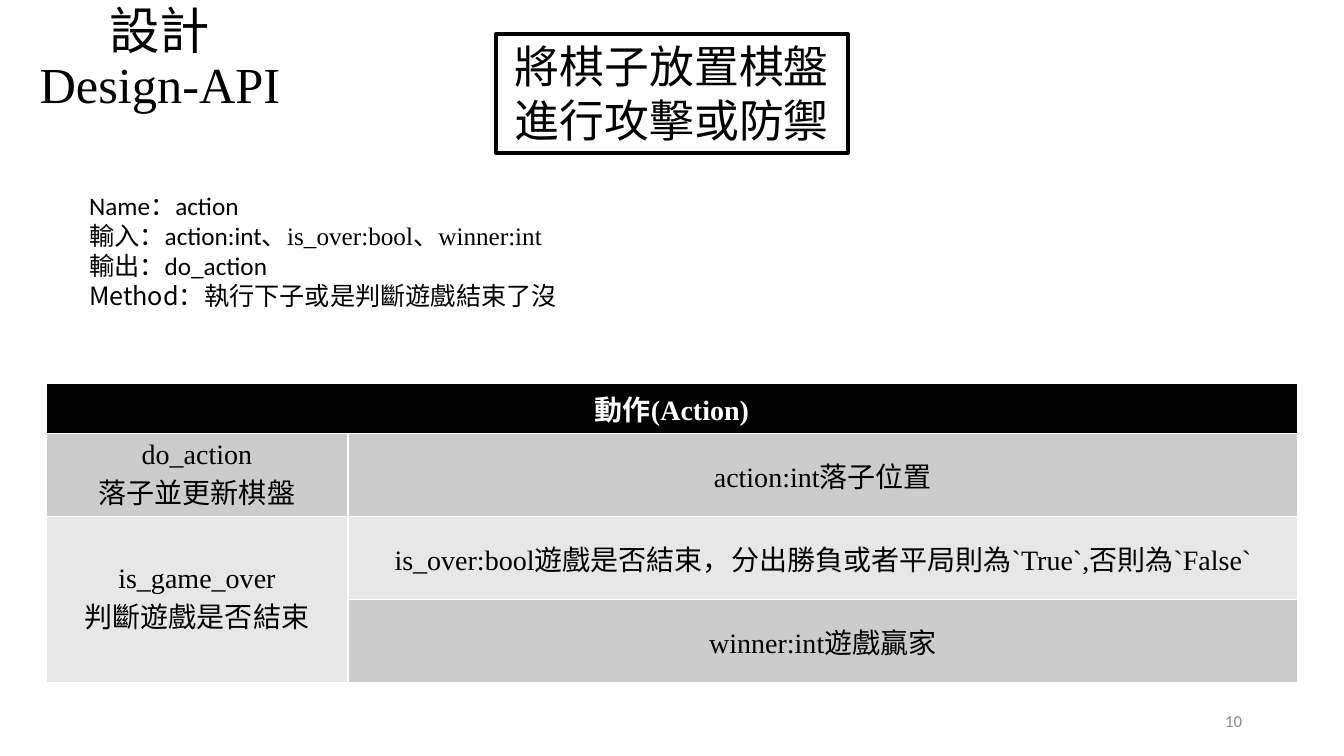
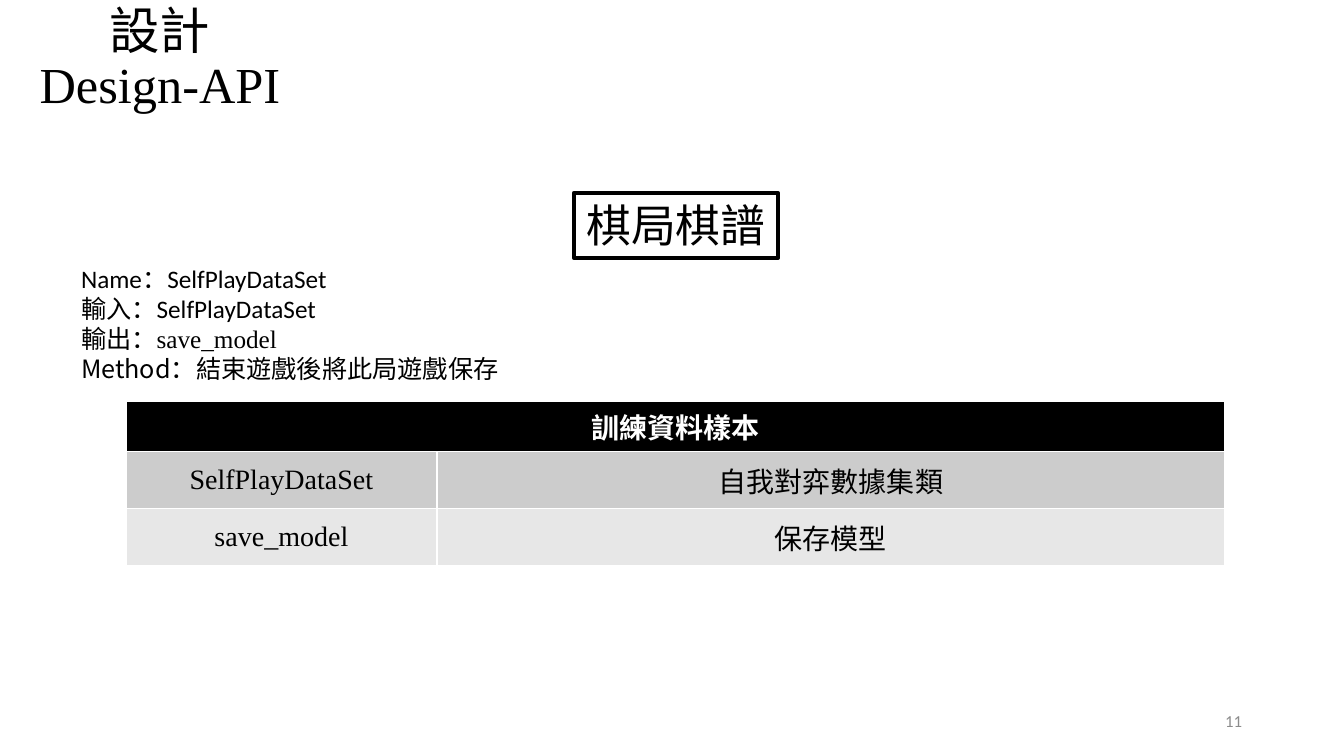
from dataclasses import dataclass

from lxml import etree
from pptx import Presentation
from pptx.dml.color import RGBColor
from pptx.enum.shapes import MSO_SHAPE
from pptx.enum.text import MSO_ANCHOR, MSO_AUTO_SIZE, PP_ALIGN
from pptx.oxml.ns import qn
from pptx.util import Pt

RECT = MSO_SHAPE.RECTANGLE
MIDDLE, TOP = MSO_ANCHOR.MIDDLE, MSO_ANCHOR.TOP
LEFT, CENTER, RIGHT = PP_ALIGN.LEFT, PP_ALIGN.CENTER, PP_ALIGN.RIGHT
NO_FIT = MSO_AUTO_SIZE.NONE
EMU_PER_PX = 914400 / 100.8
SLIDE_W, SLIDE_H = 1344, 756


@dataclass(frozen=True)
class Theme:
    ink: RGBColor = RGBColor(0, 0, 0)
    paper: RGBColor = RGBColor(255, 255, 255)
    muted: RGBColor = RGBColor(0x8C, 0x8C, 0x8C)
    bands: tuple = (RGBColor(0xCC, 0xCC, 0xCC), RGBColor(0xE7, 0xE7, 0xE7))
    serif: str = "Times New Roman"
    sans: str = "Calibri"
    cjk: str = "Noto Sans CJK SC"
    title: int = 36
    caption: int = 32
    cell: int = 20
    body: int = 18
    number: int = 12


T = Theme()


def px(n):
    return round(n * EMU_PER_PX)


def place(sp, box):
    sp.left, sp.top, sp.width, sp.height = map(px, box)


def style(p, size, font, color=T.ink, bold=False, align=CENTER):
    p.alignment = align
    for r in p.runs:
        r.font.size, r.font.name, r.font.bold = Pt(size), font, bold
        r.font.color.rgb = color


def add_title(slide, box, text):
    sp = slide.shapes.title
    place(sp, box)
    tf = sp.text_frame
    tf.text = text
    tf.auto_size, tf.vertical_anchor = NO_FIT, MIDDLE
    p = tf.paragraphs[0]
    p.line_spacing = 0.9
    style(p, T.title, T.serif)


def add_caption(slide, box, text):
    sp = slide.shapes.add_shape(RECT, *map(px, box))
    sp.shadow.inherit = False
    sp.fill.background()
    sp.line.color.rgb, sp.line.width = T.ink, Pt(3)
    tf = sp.text_frame
    tf.text = text
    tf.word_wrap, tf.vertical_anchor = True, TOP
    for p in tf.paragraphs:
        style(p, T.caption, T.cjk)


def add_spec(slide, box, lines):
    """Fill the body placeholder; each line is a list of (text, font) runs."""
    sp = slide.placeholders[1]
    place(sp, box)
    tf = sp.text_frame
    tf.auto_size, tf.vertical_anchor = NO_FIT, TOP
    for i, runs in enumerate(lines):
        p = tf.add_paragraph() if i else tf.paragraphs[0]
        pPr = p._p.get_or_add_pPr()
        pPr.set("marL", "0")
        pPr.set("indent", "0")
        etree.SubElement(pPr, qn("a:buNone"))
        p.space_before = Pt(0)
        for text, font in runs:
            r = p.add_run()
            r.text = text
            r.font.name, r.font.size = font, Pt(T.body)
            r.font.color.rgb = T.ink
        p.alignment = LEFT


def set_cell(cell, text, fill, color=T.ink, bold=False):
    cell.fill.solid()
    cell.fill.fore_color.rgb = fill
    cell.vertical_anchor = MIDDLE
    cell.text_frame.text = text
    for p in cell.text_frame.paragraphs:
        style(p, T.cell, T.serif, color, bold)


def add_api_table(slide, origin, cols, heights, header, rows):
    """Add a two-column table; a row named None continues the name above."""
    box = (*origin, sum(cols), sum(heights))
    table = slide.shapes.add_table(len(heights), 2, *map(px, box)).table
    for column, width in zip(table.columns, cols):
        column.width = px(width)
    for row, height in zip(table.rows, heights):
        row.height = px(height)
    table.cell(0, 0).merge(table.cell(0, 1))
    set_cell(table.cell(0, 0), header, T.ink, T.paper, True)
    for i, (name, detail) in enumerate(rows, 1):
        fill = T.bands[(i - 1) % 2]
        set_cell(table.cell(i, 1), detail, fill)
        if name is None:
            table.cell(i - 1, 0).merge(table.cell(i, 0))
        else:
            set_cell(table.cell(i, 0), name, fill)


def add_number(slide, box, number):
    tf = slide.shapes.add_textbox(*map(px, box)).text_frame
    tf.text = str(number)
    tf.word_wrap, tf.vertical_anchor = True, MIDDLE
    style(tf.paragraphs[0], T.number, T.sans, T.muted, align=RIGHT)


def add_api_slide(prs, number, caption, spec, table):
    slide = prs.slides.add_slide(prs.slide_layouts[1])
    add_title(slide, (0, 0, 320, 120), "設計\vDesign-API")
    add_caption(slide, *caption)
    add_api_table(slide, *table)
    add_spec(slide, *spec)
    add_number(slide, (950, 701, 302, 40), number)


def main():
    prs = Presentation()
    prs.slide_width, prs.slide_height = px(SLIDE_W), px(SLIDE_H)
    add_api_slide(
        prs, 10,
        caption=((496, 34, 352, 119), "將棋子放置棋盤\n進行攻擊或防禦"),
        spec=((79, 185, 564, 132), [
            [("Name：action", T.sans)],
            [("輸入：action:int、", T.sans),
             ("is_over:bool、winner:int", T.serif)],
            [("輸出：do_action", T.sans)],
            [("Method：執行下子或是判斷遊戲結束了沒", T.cjk)],
        ]),
        table=((46, 383), (302, 950), (46, 83, 83, 83), "動作(Action)", [
            ("do_action\n落子並更新棋盤", "action:int落子位置"),
            ("is_game_over\n判斷遊戲是否結束",
             "is_over:bool遊戲是否結束，分出勝負或者平局則為`True`,否則為`False`"),
            (None, "winner:int遊戲贏家"),
        ]),
    )
    add_api_slide(
        prs, 11,
        caption=((574, 193, 204, 65), "棋局棋譜"),
        spec=((71, 258, 564, 132), [
            [("Name：SelfPlayDataSet", T.sans)],
            [("輸入：SelfPlayDataSet", T.sans)],
            [("輸出：", T.sans), ("save_model", T.serif)],
            [("Method：結束遊戲後將此局遊戲保存", T.cjk)],
        ]),
        table=((126, 401), (311, 788), (50, 57, 57), "訓練資料樣本", [
            ("SelfPlayDataSet", "自我對弈數據集類"),
            ("save_model", "保存模型"),
        ]),
    )
    prs.save("out.pptx")


if __name__ == "__main__":
    main()
